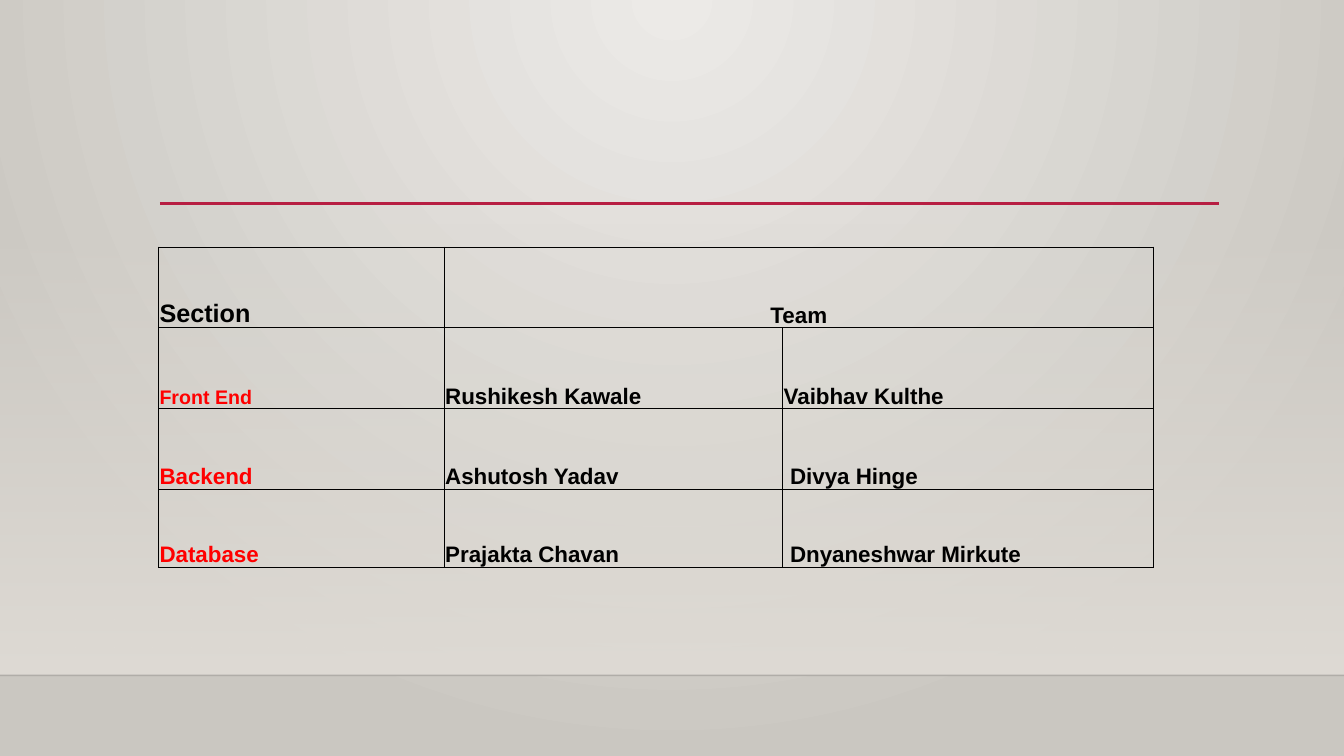
"""Builds the team table slide."""
from lxml.etree import SubElement
from pptx import Presentation
from pptx.dml.color import RGBColor
from pptx.enum.shapes import MSO_CONNECTOR, MSO_SHAPE
from pptx.enum.text import MSO_ANCHOR, PP_ALIGN
from pptx.oxml.ns import qn
from pptx.util import Cm, Pt

BLACK = RGBColor(0x00, 0x00, 0x00)
RED = RGBColor(0xFF, 0x00, 0x00)
CRIMSON = RGBColor(0xB7, 0x1E, 0x42)
PALE = RGBColor(0xEC, 0xEA, 0xE7)
STONE = RGBColor(0xCA, 0xC7, 0xC1)
SAND = RGBColor(0xDF, 0xDB, 0xD5)

WIDTH, HEIGHT = Cm(33.87), Cm(19.05)
FLOOR = Cm(17.02)


def set_format(target, values):
    for name, value in values.items():
        setattr(target, name, value)


class SlideBuilder:
    font = "Arial"
    cell_format = {
        "margin_left": Cm(0.03),
        "margin_right": Cm(0.03),
        "margin_top": Cm(0.03),
        "margin_bottom": 0,
        "vertical_anchor": MSO_ANCHOR.BOTTOM,
    }

    def __init__(self, page):
        self.page = page

    def gradient(self, fill, colors):
        fill.gradient()
        for stop, color, position in zip(fill.gradient_stops, colors, (0, 1)):
            stop.color.rgb = color
            stop.position = position

    def background(self, colors):
        self.gradient(self.page.background.fill, colors)
        element = next(self.page.element.iter(qn("a:gradFill")))
        element.remove(element.find(qn("a:lin")))
        circle = SubElement(element, qn("a:path"), {"path": "circle"})
        SubElement(circle, qn("a:fillToRect"), {"l": "43000", "t": "0", "r": "43000", "b": "100000"})

    def fade(self, left, top, width, height, color):
        shape = self.page.shapes.add_shape(MSO_SHAPE.RECTANGLE, left, top, width, height)
        shape.shadow.inherit = False
        shape.line.fill.background()
        self.gradient(shape.fill, (color, color))
        shape.fill.gradient_angle = 270
        first_color = next(shape.element.spPr.iter(qn("a:srgbClr")))
        SubElement(first_color, qn("a:alpha"), {"val": "0"})

    def rule(self, left, right, top, color, weight, opacity=100):
        line = self.page.shapes.add_connector(MSO_CONNECTOR.STRAIGHT, left, top, right, top)
        line.line.color.rgb = color
        line.line.width = Pt(weight)
        properties = line.element.spPr
        if opacity < 100:
            line_color = next(properties.iter(qn("a:srgbClr")))
            SubElement(line_color, qn("a:alpha"), {"val": str(opacity * 1000)})
        SubElement(properties, qn("a:effectLst"))

    def border(self, cell, color, weight):
        properties = cell._tc.get_or_add_tcPr()
        for side in ("lnL", "lnR", "lnT", "lnB"):
            edge = SubElement(properties, qn(f"a:{side}"), {"w": str(Pt(weight))})
            SubElement(SubElement(edge, qn("a:solidFill")), qn("a:srgbClr"), {"val": str(color)})

    def cell_text(self, cell, text, size, color, alignment=PP_ALIGN.LEFT):
        para = cell.text_frame.paragraphs[0]
        para.alignment = alignment
        span = para.add_run()
        span.text = text
        set_format(span.font, {"name": self.font, "size": Pt(size), "bold": True})
        span.font.color.rgb = color

    def table(self, left, top, widths, heights):
        frame = self.page.shapes.add_table(
            len(heights), len(widths), left, top, sum(widths), sum(heights))
        table = frame.table
        set_format(table, {"first_row": False, "horz_banding": False})
        for column, width in zip(table.columns, widths):
            column.width = width
        for row, height in zip(table.rows, heights):
            row.height = height
        for cell in table.iter_cells():
            set_format(cell, self.cell_format)
            self.border(cell, BLACK, 0.5)
            cell.fill.background()
        return table


deck = Presentation()
set_format(deck, {"slide_width": WIDTH, "slide_height": HEIGHT})
builder = SlideBuilder(deck.slides.add_slide(deck.slide_layouts[6]))

builder.background((PALE, STONE))
builder.fade(0, Cm(5.61), WIDTH, FLOOR - Cm(5.61), SAND)
builder.rule(0, WIDTH, FLOOR, BLACK, 1, opacity=20)
builder.rule(Cm(4.03), Cm(30.73), Cm(5.13), CRIMSON, 2.5)

team_table = builder.table(
    Cm(3.99), Cm(6.22),
    [Cm(7.2), Cm(8.53), Cm(9.35)],
    [Cm(2.04)] * 3 + [Cm(1.96)])
team_table.cell(0, 1).merge(team_table.cell(0, 2))
builder.cell_text(team_table.cell(0, 0), "Section", 18, BLACK)
builder.cell_text(team_table.cell(0, 1), "Team", 16, BLACK, PP_ALIGN.CENTER)

teams = [
    ("Front End", 14, "Rushikesh Kawale", "Vaibhav Kulthe"),
    ("Backend", 16, "Ashutosh Yadav", "Divya Hinge"),
    ("Database", 16, "Prajakta Chavan", "Dnyaneshwar Mirkute"),
]
for row, (section, section_size, *members) in enumerate(teams, start=1):
    builder.cell_text(team_table.cell(row, 0), section, section_size, RED)
    for column, member in enumerate(members, start=1):
        builder.cell_text(team_table.cell(row, column), member, 16, BLACK)

for row in (2, 3):
    team_table.cell(row, 2).margin_left = Cm(0.19)

deck.save("out.pptx")
